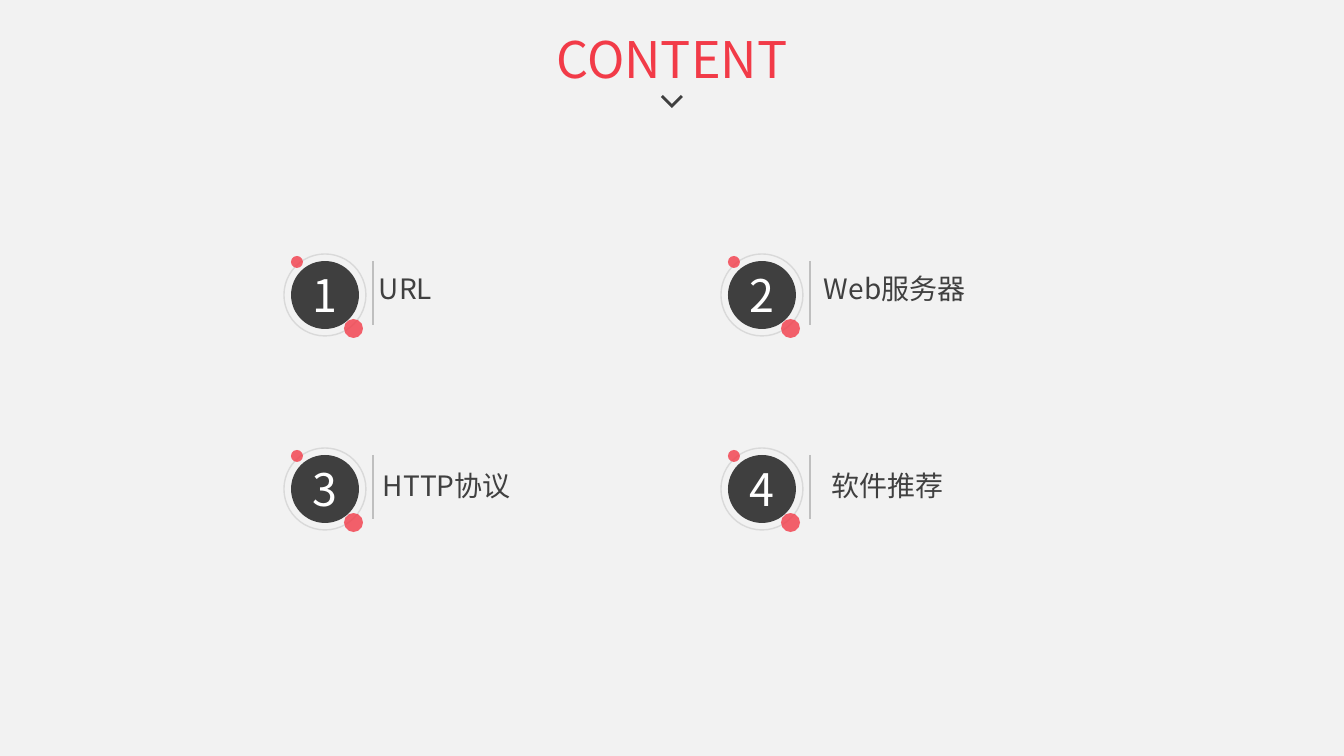
from dataclasses import dataclass
from lxml.etree import SubElement as Sub
from pptx import Presentation
from pptx.dml.color import RGBColor as RGB
from pptx.enum.shapes import MSO_CONNECTOR as Conn, MSO_SHAPE as Shape
from pptx.enum.text import MSO_ANCHOR as Anchor, MSO_AUTO_SIZE as Auto, PP_ALIGN as Align
from pptx.oxml.ns import qn
from pptx.util import Pt

TITLE = "CONTENT"
TOPICS = [
    ("URL", 85, 13),
    ("Web服务器", 93, 13),
    ("HTTP协议", 89, 16),
    ("软件推荐", 101, 16),
]
ARROW = [(681, 95), (683, 97), (672, 108), (661, 97), (663, 95), (672, 104)]
DOTS = [(60, 65, 19), (7, 2, 12)]


@dataclass(frozen=True)
class Theme:
    font: str = "Noto Sans CJK SC"
    back: str = "F2F2F2"
    red: str = "F23B48"
    dark: str = "3F3F3F"
    body: str = "404040"
    white: str = "FFFFFF"
    ring: str = "D9D9D9"
    rule: str = "BFBFBF"
    head: int = 36
    digit: int = 32
    label: int = 20


T = Theme()
SCALE = 914400 / 100.8
COLS, LEFT, TOP, STEP_X, STEP_Y = 2, 284, 254, 437, 194


def px(*nums):
    return [round(n * SCALE) for n in nums]


def write(shape, text, *, size, color, align):
    para = shape.text_frame.paragraphs[0]
    para.alignment = align
    run = para.add_run()
    run.text = text
    font = run.font
    font.name, font.size = T.font, Pt(size)
    font.color.rgb = RGB.from_string(color)
    Sub(font._element, qn("a:ea"), typeface=T.font)


def label(shapes, text, *box, **style):
    item = shapes.add_textbox(*px(*box))
    item.text_frame.word_wrap = True
    item.text_frame.auto_size = Auto.SHAPE_TO_FIT_TEXT
    write(item, text, **style)


def paint(shape, fill=None, line=None, alpha=None):
    shape.shadow.inherit = False
    if fill:
        shape.fill.solid()
        shape.fill.fore_color.rgb = RGB.from_string(fill)
        if alpha:
            tint = shape.fill._xPr.find(".//" + qn("a:srgbClr"))
            Sub(tint, qn("a:alpha"), val=str(alpha * 1000))
    else:
        shape.fill.background()
    if line:
        shape.line.color.rgb = RGB.from_string(line)
        shape.line.width = Pt(1)
    else:
        shape.line.fill.background()


def circle(shapes, x, y, size, **look):
    item = shapes.add_shape(Shape.OVAL, *px(x, y, size, size))
    paint(item, **look)
    return item


def topic(shapes, num, text, x, y, dx, dy):
    disc = circle(shapes, x + 7, y + 7, 68, fill=T.dark)
    frame = disc.text_frame
    frame.vertical_anchor = Anchor.MIDDLE
    frame.margin_left = frame.margin_right = 0
    frame.margin_top = frame.margin_bottom = 0
    write(disc, str(num), size=T.digit, color=T.white, align=Align.CENTER)
    circle(shapes, x, y, 82, line=T.ring)
    for left, top, size in DOTS:
        circle(shapes, x + left, y + top, size, fill=T.red, alpha=80)
    label(shapes, text, x + dx, y + dy, 249, 44,
          size=T.label, color=T.body, align=Align.JUSTIFY)
    rule = shapes.add_connector(Conn.STRAIGHT, *px(x + 89, y + 7, x + 89, y + 71))
    rule.line.color.rgb = RGB.from_string(T.rule)
    rule.line.width = Pt(1)
    Sub(rule._element.spPr, qn("a:effectLst"))


def main():
    deck = Presentation()
    deck.slide_width, deck.slide_height = px(1344, 756)
    slide = deck.slides.add_slide(deck.slide_layouts[6])
    slide.background.fill.solid()
    slide.background.fill.fore_color.rgb = RGB.from_string(T.back)
    for i, (text, dx, dy) in enumerate(TOPICS):
        row, col = divmod(i, COLS)
        group = slide.shapes.add_group_shape()
        topic(group.shapes, i + 1, text, LEFT + col * STEP_X, TOP + row * STEP_Y, dx, dy)
    label(slide.shapes, TITLE, 528, 23, 288, 72,
          size=T.head, color=T.red, align=Align.CENTER)
    path = slide.shapes.build_freeform(*ARROW[0], scale=SCALE)
    path.add_line_segments(ARROW[1:], close=True)
    paint(path.convert_to_shape(), fill=T.dark)
    deck.save("out.pptx")


if __name__ == "__main__":
    main()
